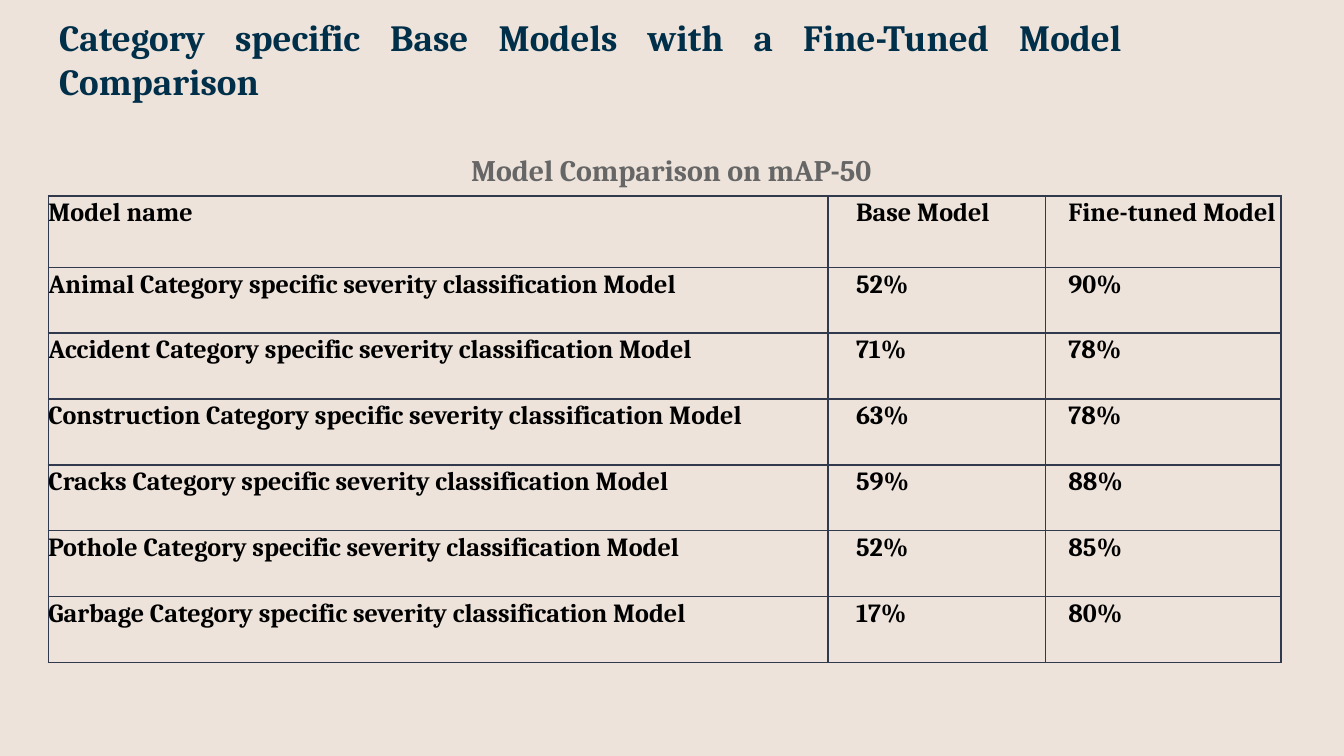
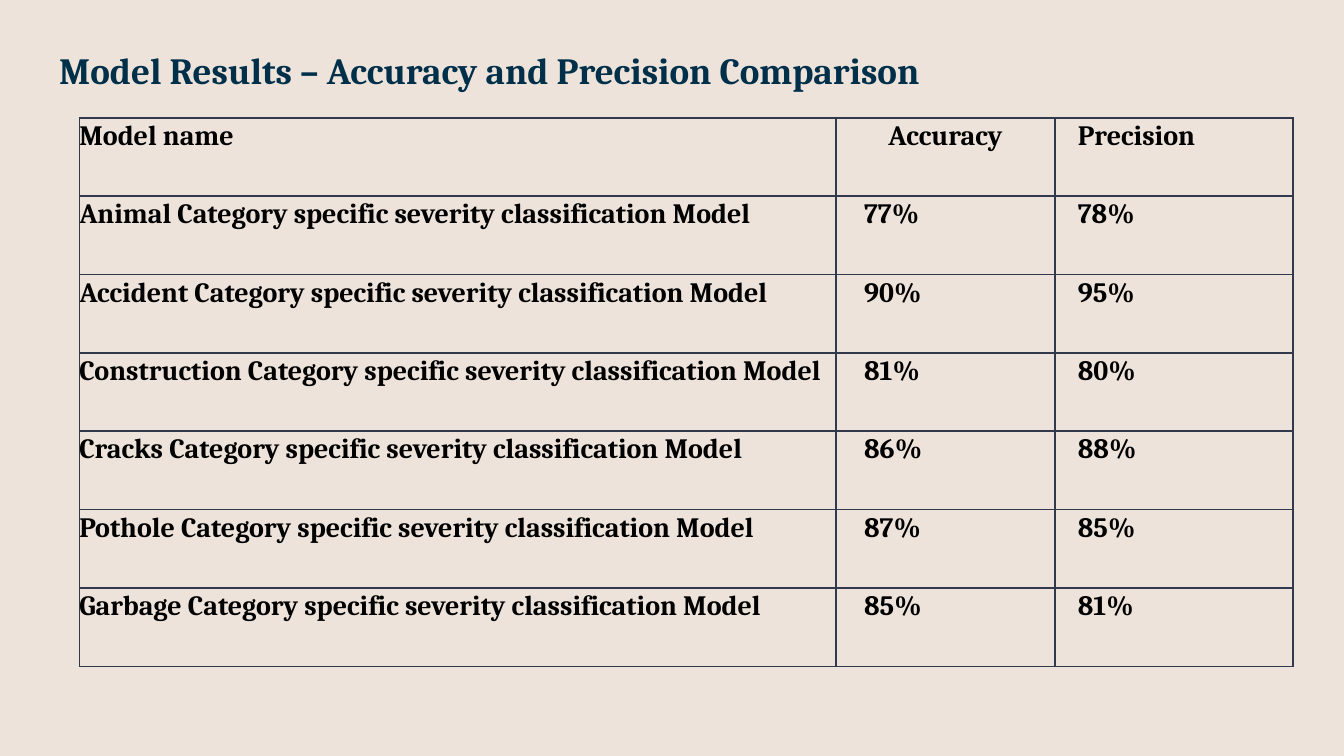
from lxml.etree import SubElement
from pptx import Presentation
from pptx.dml.color import RGBColor
from pptx.enum.text import MSO_ANCHOR as Anchor, PP_ALIGN as Align
from pptx.oxml.ns import qn
from pptx.util import Inches, Pt

COLORS = {
    "background": "EDE3DA",
    "title": "002F4A",
    "caption": "666666",
    "text": "000000",
    "border": "31394D",
}
FONT = "Cambria"
CATEGORIES = ["Animal", "Accident", "Construction", "Cracks", "Pothole", "Garbage"]
INDENTS = [0, 0.21, 0.17]

SLIDES = [
    {
        "title": "Category specific Base Models with a Fine-Tuned Model Comparison",
        "title_band": (0.03, 0.81),
        "caption": "Model Comparison on mAP-50",
        "measures": ["Base Model", "Fine-tuned Model"],
        "values": [(52, 90), (71, 78), (63, 78), (59, 88), (52, 85), (17, 80)],
        "corner": (0.36, 1.46),
        "columns": [5.8, 1.62, 1.75],
        "header_height": 0.53,
        "table_height": 3.47,
        "size": 14,
        "centered": [],
    },
    {
        "title": "Model Results – Accuracy and Precision Comparison",
        "title_band": (0.25, 0.54),
        "caption": None,
        "measures": ["Accuracy", "Precision"],
        "values": [(77, 78), (90, 95), (81, 80), (86, 88), (87, 85), (85, 81)],
        "corner": (0.59, 0.88),
        "columns": [5.63, 1.63, 1.77],
        "header_height": 0.58,
        "table_height": 4.08,
        "size": 15,
        "centered": ["Accuracy"],
    },
]


def style_paragraph(paragraph, text, size, color, align):
    paragraph.text = text
    paragraph.alignment = align
    font = paragraph.runs[0].font
    font.name = FONT
    font.size = Pt(size)
    font.bold = True
    font.color.rgb = RGBColor.from_string(COLORS[color])


def add_text(slide, box, text, size, color, align):
    shape = slide.shapes.add_textbox(*map(Inches, box))
    frame = shape.text_frame
    frame.word_wrap = True
    frame.vertical_anchor = Anchor.MIDDLE
    frame.margin_left = frame.margin_right = Inches(0.07)
    frame.margin_top = frame.margin_bottom = Inches(0.04)
    style_paragraph(frame.paragraphs[0], text, size, color, align)


def style_cell(cell, text, size, indent, align):
    cell.margin_left = cell.margin_right = cell.margin_top = cell.margin_bottom = 0
    paragraph = cell.text_frame.paragraphs[0]
    style_paragraph(paragraph, text, size, "text", align)
    paragraph.line_spacing = 1.07
    properties = cell._tc.get_or_add_tcPr()
    if indent and align == Align.LEFT:
        paragraph_properties = paragraph._p.get_or_add_pPr()
        paragraph_properties.set("marL", str(Inches(indent)))
        paragraph_properties.set("indent", "0")
    for side in ("a:lnL", "a:lnR", "a:lnT", "a:lnB"):
        line = SubElement(properties, qn(side), w=str(Pt(1)))
        fill = SubElement(line, qn("a:solidFill"))
        SubElement(fill, qn("a:srgbClr"), val=COLORS["border"])
    cell.fill.background()


def add_results(slide, content):
    rows = [["Model name", *content["measures"]]]
    for category, values in zip(CATEGORIES, content["values"]):
        name = f"{category} Category specific severity classification Model"
        rows.append([name, *(f"{value}%" for value in values)])
    header, total = content["header_height"], content["table_height"]
    heights = [header] + [(total - header) / len(CATEGORIES)] * len(CATEGORIES)
    widths = content["columns"]
    box = (*content["corner"], sum(widths), total)
    table = slide.shapes.add_table(len(rows), len(widths), *map(Inches, box)).table
    table.first_row = table.horz_banding = False
    for column, width in zip(table.columns, widths):
        column.width = Inches(width)
    for row, height, texts in zip(table.rows, heights, rows):
        row.height = Inches(height)
        for cell, text, indent in zip(row.cells, texts, INDENTS):
            align = Align.CENTER if text in content["centered"] else Align.LEFT
            style_cell(cell, text, content["size"], indent, align)


def build_slide(presentation, content):
    slide = presentation.slides.add_slide(presentation.slide_layouts[6])
    background = slide.background.fill
    background.solid()
    background.fore_color.rgb = RGBColor.from_string(COLORS["background"])
    top, height = content["title_band"]
    add_text(slide, (0.37, top, 8.04, height), content["title"], 19.8, "title", Align.JUSTIFY)
    if content["caption"]:
        add_text(slide, (2.01, 0.85, 5.97, 0.82), content["caption"], 16, "caption", Align.CENTER)
    add_results(slide, content)


def main():
    presentation = Presentation()
    presentation.slide_width = Inches(10)
    presentation.slide_height = Inches(10 * 9 / 16)
    for content in SLIDES:
        build_slide(presentation, content)
    presentation.save("out.pptx")


if __name__ == "__main__":
    main()
